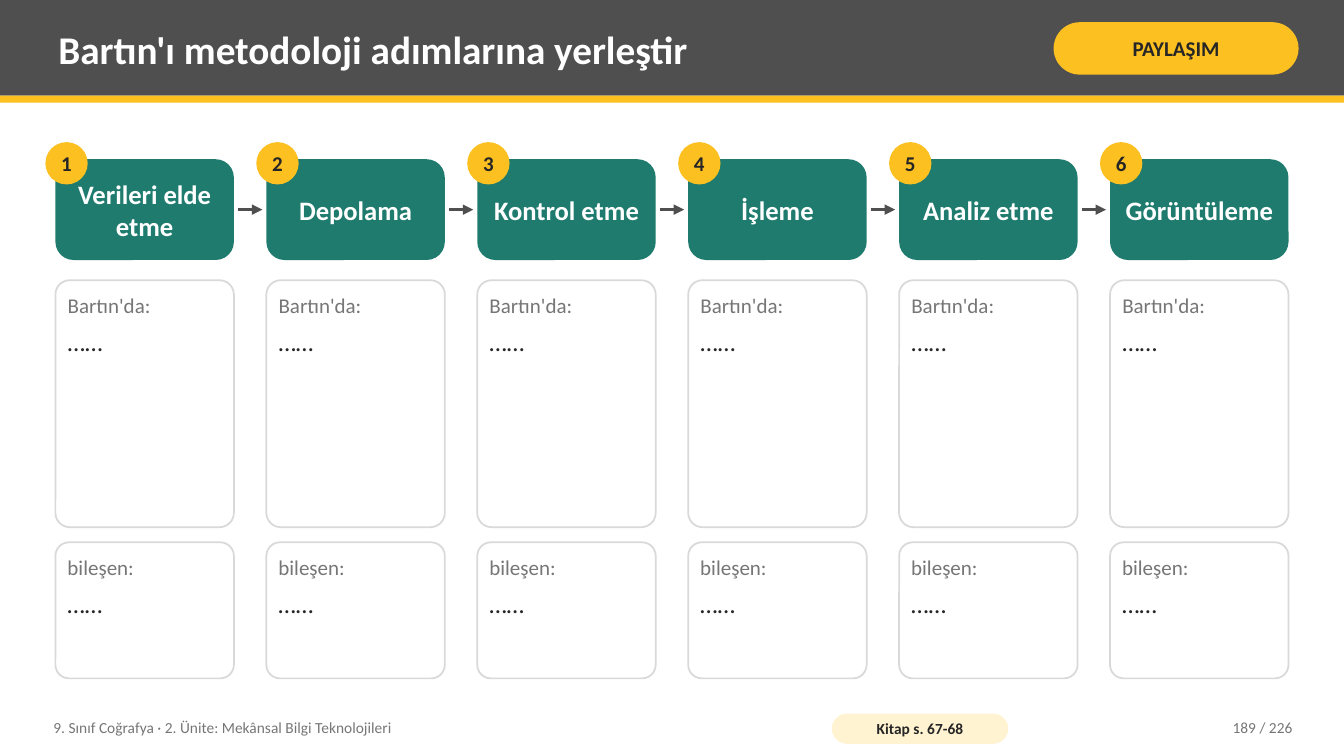
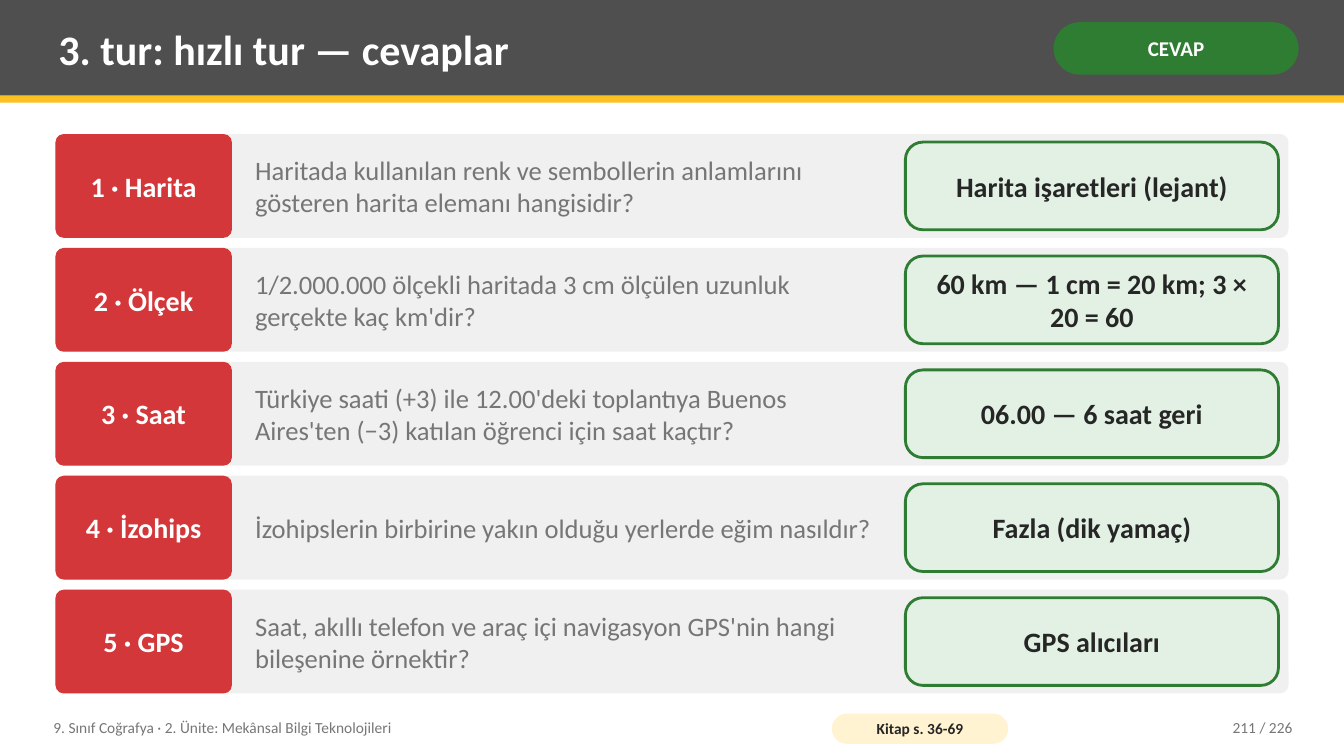
import dataclasses

import pptx
import pptx.dml.color
import pptx.enum.dml
import pptx.enum.shapes
import pptx.enum.text
import pptx.oxml
import pptx.oxml.ns
import pptx.util

PX = 9144
SHAPE = pptx.enum.shapes.MSO_SHAPE
ALIGN = pptx.enum.text.PP_ALIGN
ANCHOR = pptx.enum.text.MSO_ANCHOR


@dataclasses.dataclass(frozen=True)
class Theme:
    font: str = "Calibri"
    band: str = "4F4F4F"
    yellow: str = "FCC021"
    pale_yellow: str = "FFF3D1"
    teal: str = "1E7B6E"
    red: str = "D3373A"
    green: str = "2E7D32"
    pale_green: str = "E3F1E4"
    row: str = "F0F0F0"
    border: str = "D9D9D9"
    white: str = "FFFFFF"
    ink: str = "262626"
    muted: str = "767676"
    footer_size: int = 11
    label_size: int = 15
    dots_size: int = 18
    body_size: int = 19
    answer_size: int = 20


theme = Theme()
rgb = pptx.dml.color.RGBColor.from_string


def add_box(slide, kind, rect, fill=None, radius=None, line=None, weight=1):
    left, top, width, height = (round(n * PX) for n in rect)
    if kind is None:
        shape = slide.shapes.add_textbox(left, top, width, height)
        return shape
    shape = slide.shapes.add_shape(kind, left, top, width, height)
    shape.shadow.inherit = False
    shape.fill.solid()
    shape.fill.fore_color.rgb = rgb(fill)
    if radius is not None:
        shape.adjustments[0] = radius
    if line:
        shape.line.color.rgb = rgb(line)
        shape.line.width = pptx.util.Pt(weight)
    else:
        shape.line.fill.background()
    return shape


def write(shape, text, size, colour, bold=False, align=ALIGN.CENTER, margins=(8, 4), anchor=ANCHOR.MIDDLE):
    frame = shape.text_frame
    frame.text = text
    frame.word_wrap = True
    frame.auto_size = pptx.enum.text.MSO_AUTO_SIZE.NONE
    frame.vertical_anchor = anchor
    frame.margin_left = frame.margin_right = margins[0] * PX
    frame.margin_top = frame.margin_bottom = margins[1] * PX
    for paragraph in frame.paragraphs:
        paragraph.alignment = align
        paragraph.font.name = theme.font
        paragraph.font.size = pptx.util.Pt(size)
        paragraph.font.bold = bold
        paragraph.font.color.rgb = rgb(colour)
    return frame


SLIDE_WIDTH, SLIDE_HEIGHT = 1333, 750
LEFT, CONTENT_WIDTH = 55, 1223

deck = pptx.Presentation()
deck.slide_width = SLIDE_WIDTH * PX
deck.slide_height = SLIDE_HEIGHT * PX
layout = deck.slide_layouts[5]

headings = [
    ("Bartın'ı metodoloji adımlarına yerleştir", 28, "PAYLAŞIM", theme.yellow, theme.ink, "Kitap s. 67-68", "189 / 226"),
    ("3. tur: hızlı tur — cevaplar", 30, "CEVAP", theme.green, theme.white, "Kitap s. 36-69", "211 / 226"),
]
slides = []
for title, title_size, tag, tag_fill, tag_colour, book_pages, page in headings:
    slide = deck.slides.add_slide(layout)
    slides.append(slide)
    heading = slide.shapes.title
    heading.left, heading.top, heading.width, heading.height = (n * PX for n in (50, 7, 975, 82))
    write(heading, title, title_size, theme.white, True, ALIGN.LEFT)
    badge = add_box(slide, SHAPE.ROUNDED_RECTANGLE, (1045, 22, 243, 52), tag_fill, 0.5)
    write(badge, tag, theme.label_size, tag_colour, True, margins=(5, 2))
    book = add_box(slide, SHAPE.ROUNDED_RECTANGLE, (825, 708, 175, 30), theme.pale_yellow, 0.5)
    write(book, book_pages, theme.footer_size, theme.ink, True, margins=(4, 0))
    page_number = add_box(slide, None, (1130, 704, 160, 36))
    write(page_number, page, theme.footer_size, theme.muted, align=ALIGN.RIGHT)

steps_slide, answers_slide = slides

band = add_box(steps_slide, SHAPE.RECTANGLE, (0, 0, SLIDE_WIDTH, 95), theme.band)
rule = add_box(steps_slide, SHAPE.RECTANGLE, (0, 95, SLIDE_WIDTH, 7), theme.yellow)
unit = add_box(steps_slide, None, (45, 704, 760, 36))
write(unit, "9. Sınıf Coğrafya · 2. Ünite: Mekânsal Bilgi Teknolojileri", theme.footer_size, theme.muted, align=ALIGN.LEFT)
for shared in (band, rule, unit):
    layout.shapes.element.append(shared.element)

steps = ["Verileri elde etme", "Depolama", "Kontrol etme", "İşleme", "Analiz etme", "Görüntüleme"]
prompts = [("Bartın'da:", 278, 245, 0.08), ("bileşen:", 538, 135, 0.1)]
STEP_WIDTH, STEP_TOP, STEP_HEIGHT = 177, 158, 100
step_pitch = (CONTENT_WIDTH - STEP_WIDTH) / (len(steps) - 1)

for index, step in enumerate(steps):
    left = LEFT + index * step_pitch
    card = add_box(steps_slide, SHAPE.ROUNDED_RECTANGLE, (left, STEP_TOP, STEP_WIDTH, STEP_HEIGHT), theme.teal, 0.18)
    write(card, step, theme.body_size, theme.white, True, margins=(5, 8))
    number = add_box(steps_slide, SHAPE.OVAL, (left - 10, STEP_TOP - 17, 42, 42), theme.yellow)
    write(number, str(index + 1), theme.label_size, theme.ink, True, margins=(0, 0))

    if index < len(steps) - 1:
        start, end = left + STEP_WIDTH + 4, left + step_pitch - 4
        middle = (STEP_TOP + STEP_HEIGHT // 2) * PX
        arrow = steps_slide.shapes.add_connector(
            pptx.enum.shapes.MSO_CONNECTOR.STRAIGHT, round(start * PX), middle, round(end * PX), middle)
        arrow.line.color.rgb = rgb(theme.band)
        arrow.line.width = pptx.util.Pt(2.5)
        tip = pptx.oxml.parse_xml(f'<a:tailEnd {pptx.oxml.ns.nsdecls("a")} type="triangle"/>')
        arrow.line._get_or_add_ln().append(tip)
        no_shadow = pptx.oxml.parse_xml(f'<a:effectLst {pptx.oxml.ns.nsdecls("a")}/>')
        arrow.element.spPr.append(no_shadow)

    for prompt, top, height, radius in prompts:
        answer_area = add_box(steps_slide, SHAPE.ROUNDED_RECTANGLE, (left, top, STEP_WIDTH, height),
                              theme.white, radius, theme.border, 1.25)
        frame = write(answer_area, prompt + "\n……", theme.label_size, theme.muted,
                      align=ALIGN.LEFT, margins=(8, 8), anchor=ANCHOR.TOP)
        label, dots = frame.paragraphs
        label.space_after = pptx.util.Pt(6)
        dots.font.size = pptx.util.Pt(theme.dots_size)
        dots.font.color.rgb = rgb(theme.ink)

rounds = [
    ("Harita", "Haritada kullanılan renk ve sembollerin anlamlarını gösteren harita elemanı hangisidir?",
     "Harita işaretleri (lejant)"),
    ("Ölçek", "1/2.000.000 ölçekli haritada 3 cm ölçülen uzunluk gerçekte kaç km'dir?",
     "60 km — 1 cm = 20 km; 3 × 20 = 60"),
    ("Saat", "Türkiye saati (+3) ile 12.00'deki toplantıya Buenos Aires'ten (−3) katılan öğrenci için saat kaçtır?",
     "06.00 — 6 saat geri"),
    ("İzohips", "İzohipslerin birbirine yakın olduğu yerlerde eğim nasıldır?", "Fazla (dik yamaç)"),
    ("GPS", "Saat, akıllı telefon ve araç içi navigasyon GPS'nin hangi bileşenine örnektir?", "GPS alıcıları"),
]
ROW_TOP, ROW_HEIGHT, ROW_GAP = 133, 103, 10

for index, (topic, question, answer) in enumerate(rounds):
    top = ROW_TOP + index * (ROW_HEIGHT + ROW_GAP)
    add_box(answers_slide, SHAPE.ROUNDED_RECTANGLE, (LEFT, top, CONTENT_WIDTH, ROW_HEIGHT), theme.row, 0.08)
    topic_card = add_box(answers_slide, SHAPE.ROUNDED_RECTANGLE, (LEFT, top, 175, ROW_HEIGHT), theme.red, 0.08)
    write(topic_card, f"{index + 1} · {topic}", theme.answer_size, theme.white, True, margins=(6, 8))
    question_text = add_box(answers_slide, None, (245, top, 638, ROW_HEIGHT))
    write(question_text, question, theme.body_size, theme.muted, align=ALIGN.LEFT)
    answer_card = add_box(answers_slide, SHAPE.ROUNDED_RECTANGLE, (898, top + 8, 370, ROW_HEIGHT - 16),
                          theme.pale_green, 0.2, theme.green, 2)
    write(answer_card, answer, theme.answer_size, theme.ink, True, margins=(10, 2))

deck.save("out.pptx")
